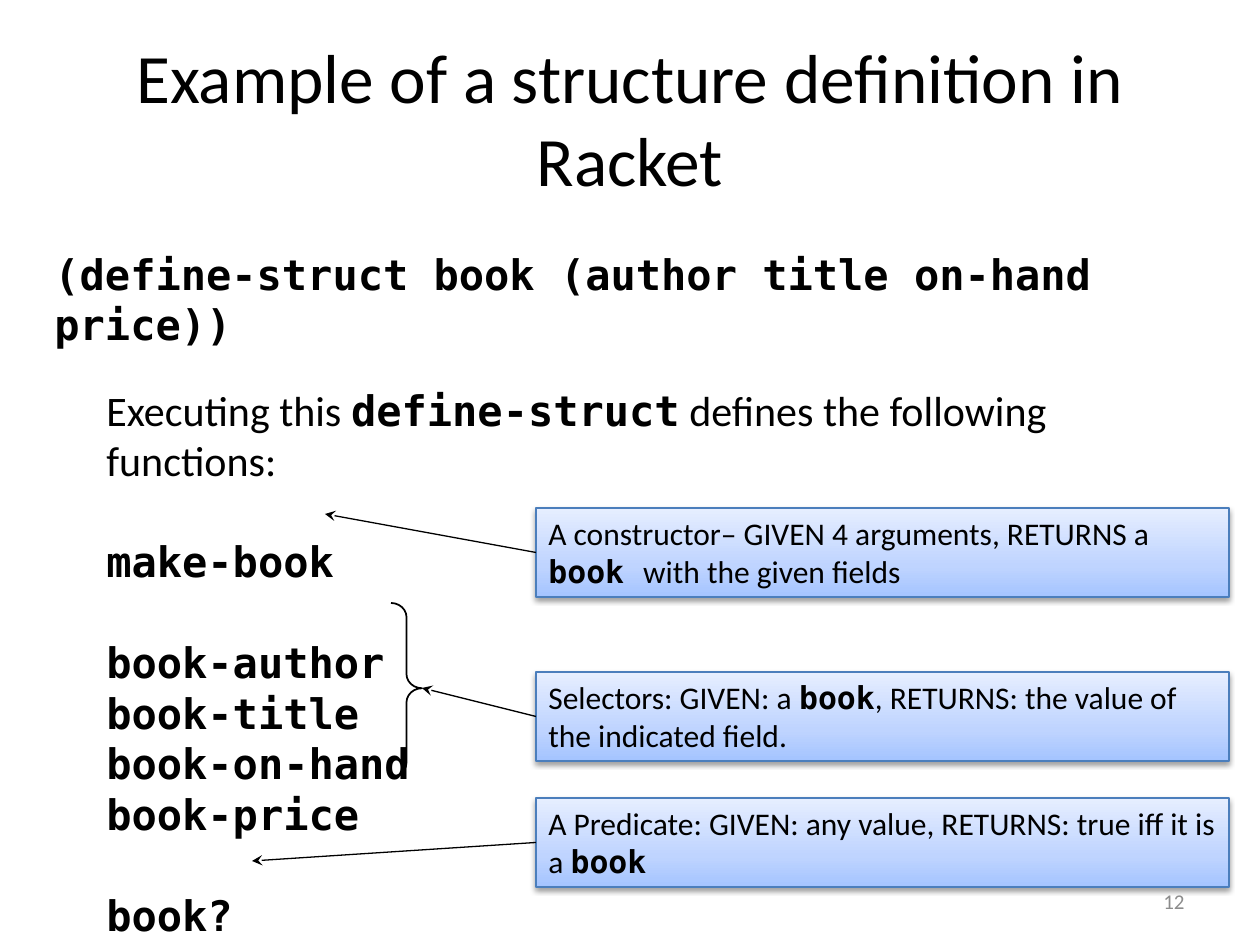
from copy import deepcopy

from lxml.etree import SubElement
from pptx import Presentation
from pptx.dml.color import RGBColor
from pptx.enum.shapes import MSO_CONNECTOR, MSO_SHAPE
from pptx.enum.text import MSO_ANCHOR, PP_ALIGN
from pptx.oxml.ns import qn
from pptx.util import Emu, Pt

SCALE = 914400 / 126
COLORS = {
    "ink": "000000",
    "muted": "8C8C8C",
    "note_line": "4B7EBC",
    "note_bottom": "A4C4FF",
    "note_middle": "BFD4FF",
    "note_top": "E6EEFF",
}
PROSE = {"name": "Calibri", "bold": False}
CODE = {"name": "DejaVu Sans Mono", "bold": True}


def px(length):
    return Emu(round(length * SCALE))


def rgb(key):
    return RGBColor.from_string(COLORS[key])


class StructSlide:
    def __init__(self, deck):
        self.slide = deck.slides.add_slide(deck.slide_layouts[6])
        self.shapes = self.slide.shapes

    def fill_text(self, shape, paragraphs, size, color="ink", align=PP_ALIGN.LEFT,
                  anchor=MSO_ANCHOR.TOP):
        frame = shape.text_frame
        frame.word_wrap = True
        frame.vertical_anchor = anchor
        for index, (gap, pieces) in enumerate(paragraphs):
            paragraph = frame.paragraphs[0] if index == 0 else frame.add_paragraph()
            paragraph.alignment = align
            paragraph.space_before = Pt(gap)
            for words, style in pieces:
                run = paragraph.add_run()
                run.text = words
                run.font.color.rgb = rgb(color)
                for key, value in {**style, "size": Pt(size)}.items():
                    setattr(run.font, key, value)

    def text(self, box, paragraphs, size, **layout):
        self.fill_text(self.shapes.add_textbox(*map(px, box)), paragraphs, size, **layout)

    def note(self, box, pieces):
        note = self.shapes.add_shape(MSO_SHAPE.RECTANGLE, *map(px, box))
        note.fill.gradient()
        note.fill.gradient_angle = 90
        stop_list = note._element.spPr.find(".//" + qn("a:gsLst"))
        stop_list.append(deepcopy(stop_list[0]))
        stops = [(0, "note_bottom"), (0.35, "note_middle"), (1, "note_top")]
        for stop, (position, color) in zip(note.fill.gradient_stops, stops):
            stop.position = position
            stop.color.rgb = rgb(color)
        note.line.color.rgb = rgb("note_line")
        note.line.width = Pt(0.75)
        effects = SubElement(note._element.spPr, qn("a:effectLst"))
        shadow = SubElement(effects, qn("a:outerShdw"), blurRad=str(Pt(3.1)),
                            dist=str(Pt(1.6)), dir="5400000", rotWithShape="0")
        shade = SubElement(shadow, qn("a:srgbClr"), val=COLORS["ink"])
        SubElement(shade, qn("a:alpha"), val="38000")
        self.fill_text(note, [(0, pieces)], 18)
        return note

    def arrow(self, note, tip):
        arrow = self.shapes.add_connector(
            MSO_CONNECTOR.STRAIGHT, note.left, note.top + note.height // 2, *map(px, tip))
        arrow.begin_connect(note, 1)
        arrow.line.color.rgb = rgb("ink")
        arrow.line.width = Pt(0.75)
        SubElement(arrow._element.spPr.find(qn("a:ln")), qn("a:tailEnd"), type="stealth")
        SubElement(arrow._element.spPr, qn("a:effectLst"))

    def brace(self, box, curl, middle):
        brace = self.shapes.add_shape(MSO_SHAPE.RIGHT_BRACE, *map(px, box))
        brace.shadow.inherit = False
        brace.fill.background()
        brace.line.color.rgb = rgb("ink")
        brace.line.width = Pt(1)
        brace.adjustments[0] = curl
        brace.adjustments[1] = middle


def main():
    deck = Presentation()
    deck.slide_width, deck.slide_height = px(1260), px(945)
    page = StructSlide(deck)

    page.text((63, 38, 1134, 158),
              [(0, [("Example of a structure definition in Racket", PROSE)])],
              39.6, align=PP_ALIGN.CENTER, anchor=MSO_ANCHOR.MIDDLE)
    page.text((42, 242, 1218, 63),
              [(0, [("(define-struct book (author title on-hand price))", CODE)])], 24)

    introduction = [("Executing this ", PROSE), ("define-struct", CODE),
                    (" defines the following functions:", PROSE)]
    function_groups = [
        ["make-book"],
        ["book-author", "book-title", "book-on-hand", "book-price"],
        ["book?"],
    ]
    functions = [(29 if index == 0 else 0, [(name, CODE)])
                 for group in function_groups for index, name in enumerate(group)]
    page.text((94, 378, 1134, 572), [(0, introduction)] + functions, 24)

    explanations = [
        (508, (325, 514), [("A constructor– GIVEN 4 arguments, RETURNS a ", PROSE),
                           ("book ", CODE), ("with the given fields", PROSE)]),
        (672, (422, 688), [("Selectors: GIVEN: a ", PROSE), ("book", CODE),
                           (", RETURNS: the value of the indicated field.", PROSE)]),
        (798, (252, 861), [("A Predicate: GIVEN: any value, RETURNS: true iff it is a ",
                            PROSE), ("book", CODE)]),
    ]
    for top, tip, pieces in explanations:
        page.arrow(page.note((536, top, 693, 89), pieces), tip)

    page.text((903, 876, 294, 50), [(0, [("12", PROSE)])], 12, color="muted",
              align=PP_ALIGN.RIGHT, anchor=MSO_ANCHOR.MIDDLE)
    page.brace((391, 603, 31, 174), 0.46, 0.49)

    deck.save("out.pptx")


if __name__ == "__main__":
    main()
